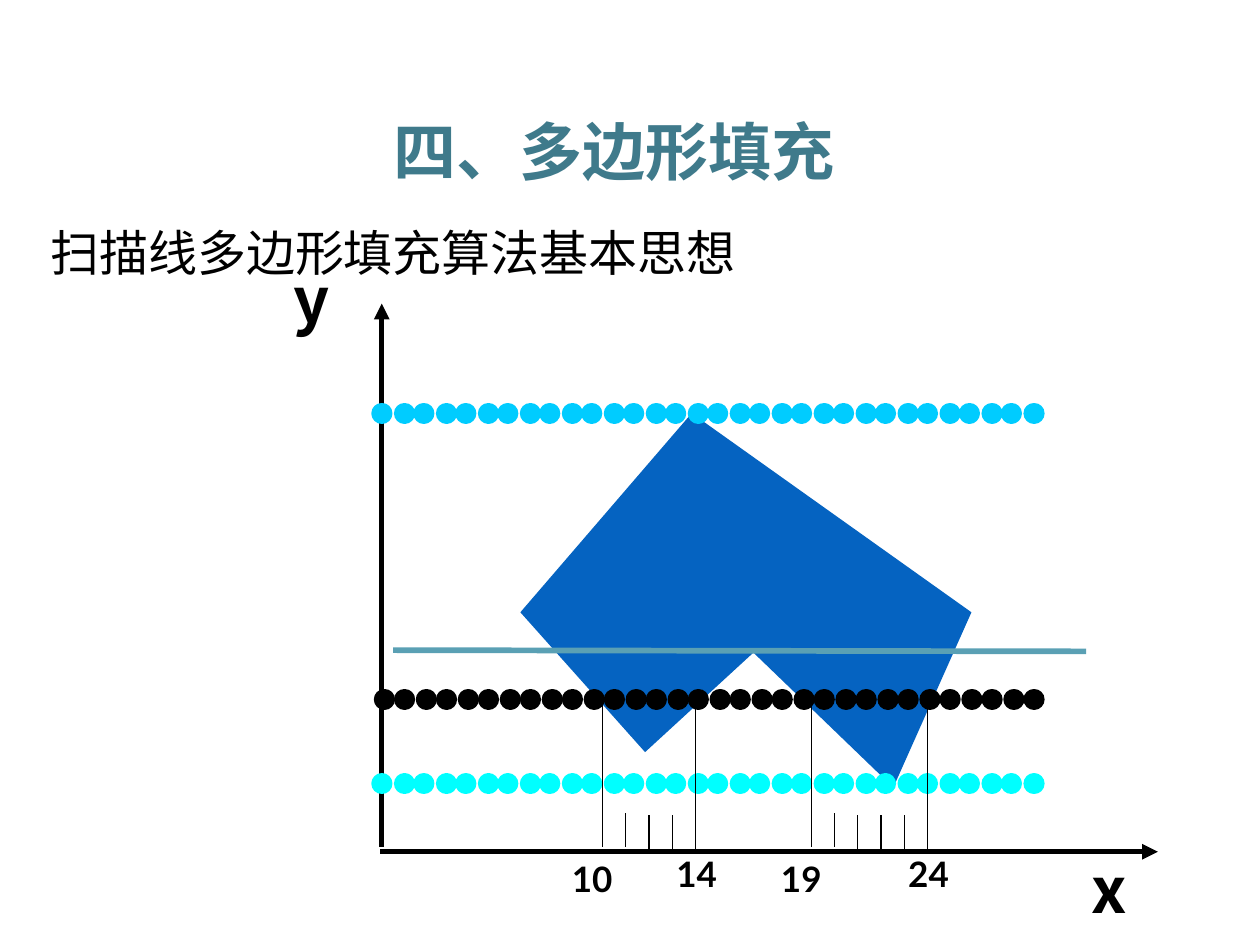
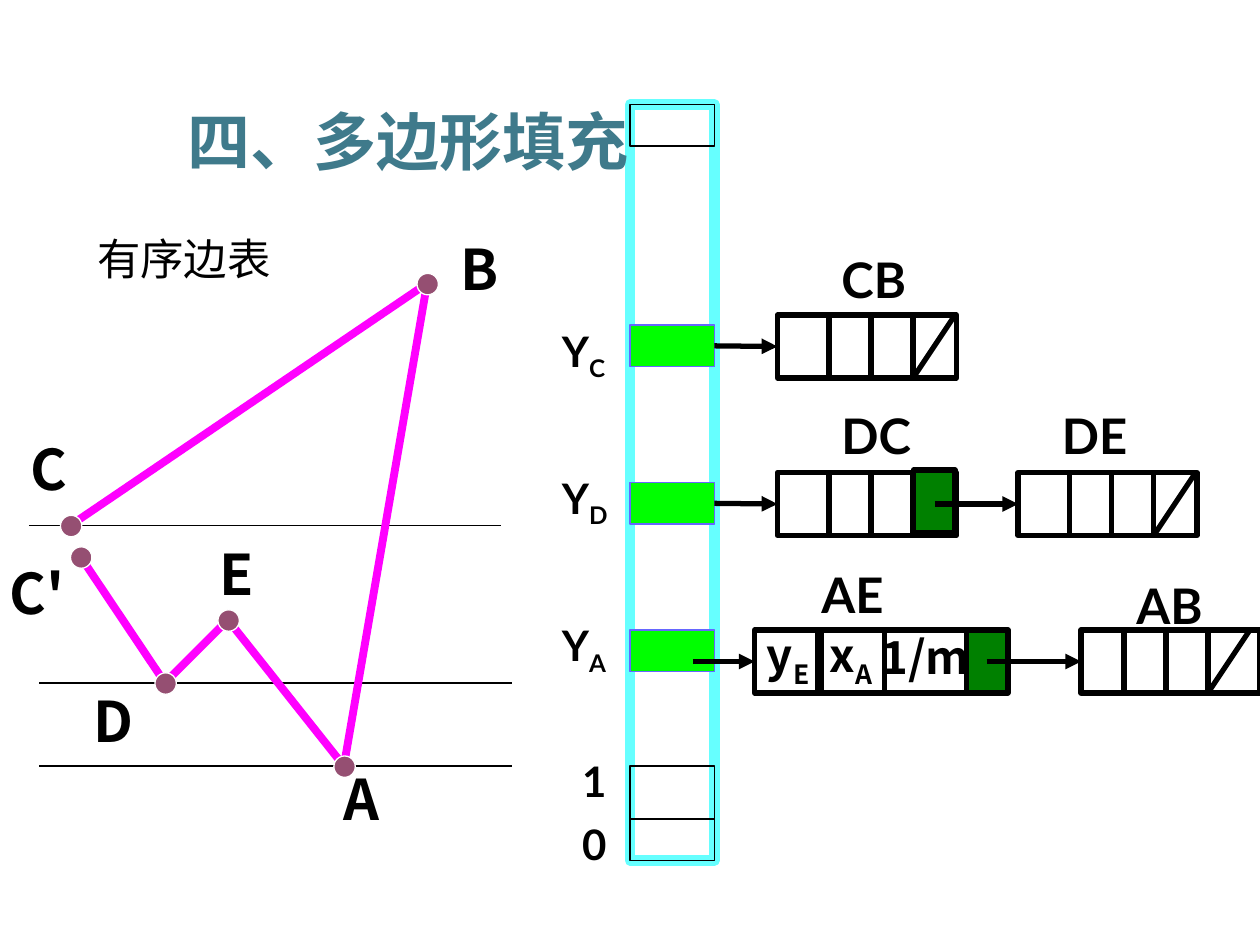
from dataclasses import dataclass

from lxml import etree
from pptx import Presentation
from pptx.dml.color import RGBColor
from pptx.enum.dml import MSO_LINE
from pptx.enum.shapes import MSO_CONNECTOR, MSO_SHAPE
from pptx.enum.text import MSO_ANCHOR, MSO_AUTO_SIZE, PP_ALIGN
from pptx.oxml.ns import qn
from pptx.util import Inches, Pt

RECTANGLE = MSO_SHAPE.RECTANGLE
OVAL = MSO_SHAPE.OVAL
STRAIGHT = MSO_CONNECTOR.STRAIGHT
DOTTED = MSO_LINE.ROUND_DOT
TOP, MIDDLE = MSO_ANCHOR.TOP, MSO_ANCHOR.MIDDLE
LEFT, CENTER = PP_ALIGN.LEFT, PP_ALIGN.CENTER
FIXED_SIZE = MSO_AUTO_SIZE.NONE
LEFT_SIDE, RIGHT_SIDE = 1, 3
TITLE_ONLY = 5


@dataclass(frozen=True)
class Theme:
    """Colours, fonts, type sizes and line widths."""
    black: str = "000000"
    white: str = "FFFFFF"
    heading: str = "3F7A8B"
    scan_line: str = "5AA0B4"
    polygon: str = "0563C1"
    top_dots: str = "00CCFF"
    bottom_dots: str = "00FFFF"
    edge: str = "FF00FF"
    vertex: str = "954F72"
    table: str = "66FFFF"
    bucket: str = "00FF00"
    bucket_line: str = "6666FF"
    link: str = "008000"
    han: str = "Noto Sans CJK SC"
    latin: str = "Lato"
    topic_font: str = "Arial"
    heading_size: float = 36
    topic_size: float = 28
    small_topic_size: float = 24.8
    vertex_size: float = 32
    record_size: float = 28
    cell_size: float = 26
    bucket_size: float = 24
    tick_size: float = 20
    thin: float = 0.75
    thick: float = 3


class Deck:
    """Draws styled elements on the current slide."""

    def __init__(self, theme):
        self.theme = theme
        self.presentation = Presentation()
        self.presentation.slide_width = Inches(10)
        self.presentation.slide_height = Inches(7.5)
        self.slide = None

    def new_slide(self, topic, box, size):
        """Start a slide with its topic in the title placeholder."""
        layout = self.presentation.slide_layouts[TITLE_ONLY]
        self.slide = self.presentation.slides.add_slide(layout)
        title = self.slide.shapes.title
        title.left, title.top, title.width, title.height = map(Inches, box)
        self.add_text(title, topic, size, self.theme.topic_font, bold=False,
                      anchor=MIDDLE, spacing=1.2)

    def heading(self, text, box):
        """Add the chapter heading."""
        self.label(text, box, self.theme.heading_size, self.theme.han,
                   color=self.theme.heading, align=CENTER, anchor=MIDDLE)

    def add_text(self, shape, text, size, font, subscript="", color=None, bold=True,
                 align=LEFT, anchor=TOP, spacing=None, wrap=True, insets=None):
        """Fill a shape with one paragraph and an optional subscript."""
        frame = shape.text_frame
        frame.auto_size = FIXED_SIZE
        frame.word_wrap = wrap
        frame.vertical_anchor = anchor
        if insets:
            frame.margin_left = frame.margin_right = Inches(insets[0])
            frame.margin_top = frame.margin_bottom = Inches(insets[1])
        paragraph = frame.paragraphs[0]
        paragraph.alignment = align
        if spacing:
            paragraph.line_spacing = spacing
        for part, baseline in ((text, None), (subscript, "-25000")):
            if not part:
                continue
            run = paragraph.add_run()
            run.text = part
            run.font.size = Pt(size)
            run.font.bold = bold
            run.font.color.rgb = RGBColor.from_string(color or self.theme.black)
            run.font.name = font
            properties = run._r.get_or_add_rPr()
            etree.SubElement(properties, qn("a:ea"), typeface=self.theme.han)
            if baseline:
                properties.set("baseline", baseline)

    def label(self, text, box, size, font, **options):
        """Add a text box."""
        shape = self.slide.shapes.add_textbox(*map(Inches, box))
        self.add_text(shape, text, size, font, **options)

    def paint(self, shape, fill=None, line=None, width=None):
        """Set the fill and outline of a shape."""
        shape.shadow.inherit = False
        if fill:
            shape.fill.solid()
            shape.fill.fore_color.rgb = RGBColor.from_string(fill)
        else:
            shape.fill.background()
        if line:
            shape.line.color.rgb = RGBColor.from_string(line)
            shape.line.width = Pt(width)
        else:
            shape.line.fill.background()

    def shape(self, box, kind=RECTANGLE, **paint):
        """Add a preset shape."""
        shape = self.slide.shapes.add_shape(kind, *map(Inches, box))
        self.paint(shape, **paint)
        return shape

    def outline(self, points, close, **paint):
        """Add a freeform through the points."""
        points = [(Inches(x), Inches(y)) for x, y in points]
        builder = self.slide.shapes.build_freeform(*points[0])
        builder.add_line_segments(points[1:], close=close)
        self.paint(builder.convert_to_shape(), **paint)

    def line(self, start, end, width, color=None, arrow=False, dotted=False,
             source=None, target=None):
        """Add a straight line, optionally an arrow joined to boxes."""
        connector = self.slide.shapes.add_connector(
            STRAIGHT, *map(Inches, (*start, *end)))
        if source:
            connector.begin_connect(source, RIGHT_SIDE)
        if target:
            connector.end_connect(target, LEFT_SIDE)
        connector.line.color.rgb = RGBColor.from_string(color or self.theme.black)
        connector.line.width = Pt(width)
        outline = connector.line._get_or_add_ln()
        if dotted:
            connector.line.dash_style = DOTTED
            outline.set("cap", "rnd")
        if arrow:
            etree.SubElement(outline, qn("a:tailEnd"), type="triangle")
        etree.SubElement(connector._element.spPr, qn("a:effectLst"))

    def arrow(self, start, end, **joins):
        """Add a thick black arrow."""
        self.line(start, end, self.theme.thick, arrow=True, **joins)

    def record(self, left, top, first=0.41, null=True):
        """Add an edge record with three dividers and an optional null slash."""
        thick = self.theme.thick
        box = self.shape((left, top, 1.42, 0.5), line=self.theme.black, width=thick)
        step = 1 / 3
        dividers = [left + first + step * index for index in range(3)]
        for x in dividers:
            self.line((x, top), (x, top + 0.5), thick)
        if null:
            x = dividers[-1]
            self.line((x, top + 0.5), (x + step, top), thick)
        return box

    def link_cell(self, left, top):
        """Add the filled pointer cell of a record."""
        self.shape((left, top, 0.33, 0.5), fill=self.theme.link,
                   line=self.theme.black, width=self.theme.thick)


def scan_line_slide(deck):
    """Show the basic idea of scan-line filling."""
    theme = deck.theme
    deck.new_slide("扫描线多边形填充算法基本思想", (0.3, 1.62, 8.72, 0.66), theme.topic_size)
    deck.arrow((3.03, 6.72), (3.03, 2.41))
    deck.arrow((3.02, 6.76), (9.19, 6.76))
    for name, left, top in (("x", 8.58, 6.75), ("y", 2.25, 2.07)):
        deck.label(name, (left, top, 0.45, 0.6), theme.heading_size, theme.han,
                   align=CENTER, anchor=MIDDLE, insets=(0, 0))

    polygon = [(4.13, 4.86), (5.49, 3.28), (7.71, 4.86),
               (7.09, 6.25), (5.98, 5.18), (5.12, 5.97)]
    deck.outline(polygon, True, fill=theme.polygon)
    for y, start, color in ((5.55, 3.05, theme.black), (3.28, 3.03, theme.top_dots),
                            (6.22, 3.03, theme.bottom_dots)):
        for left in (3.21, start):
            deck.line((left, y), (left + 5.06, y), 12, color, dotted=True)

    for first, last, left_x, right_x in ((10, 14, 4.78, 5.52), (19, 24, 6.44, 7.36)):
        count = last - first
        for index in range(count + 1):
            x = left_x + (right_x - left_x) * index / count
            bottom = 6.72 if index < 2 else 6.74
            top = 5.55 if index in (0, count) else bottom - 0.27
            deck.line((x, bottom), (x, top), theme.thin)
        for value, left, top in ((first, left_x - 0.34, 6.76), (last, right_x - 0.25, 6.72)):
            deck.label(str(value), (left, top, 0.56, 0.43), theme.tick_size,
                       theme.latin, wrap=False)

    deck.heading("四、多边形填充", (0.2, 0.84, 9.34, 0.71))
    deck.line((3.12, 5.16), (8.62, 5.17), 3.25, theme.scan_line)


def draw_polygon(deck):
    """Draw the polygon with its split vertex and scan lines."""
    theme = deck.theme
    vertices = {
        "C": ((0.56, 4.17), (0.14, 3.4)),
        "B": ((3.39, 2.25), (3.56, 1.81)),
        "A": ((2.73, 6.08), (2.63, 6.02)),
        "E": ((1.81, 4.92), (1.64, 4.23)),
        "D": ((1.31, 5.42), (0.64, 5.4)),
        "C'": ((0.64, 4.42), (-0.02, 4.38)),
    }
    for left, y in ((0.23, 4.17), (0.31, 5.42), (0.31, 6.08)):
        deck.line((left, y), (left + 3.75, y), theme.thin)
    for name, (_, corner) in vertices.items():
        width = 0.42 if len(name) == 1 else 0.65
        deck.label(name, (*corner, width, 0.63), theme.vertex_size, theme.han, wrap=False)
    deck.outline([point for point, _ in vertices.values()], False,
                 line=theme.edge, width=4.5)
    for (x, y), _ in vertices.values():
        deck.shape((x - 0.08, y - 0.08, 0.17, 0.17), OVAL, fill=theme.vertex,
                   line=theme.white, width=theme.thin)


def draw_edge_table(deck):
    """Draw the bucket column and its linked edge records."""
    theme = deck.theme
    deck.shape((5, 0.83, 0.67, 6), line=theme.table, width=6)
    for top, height in ((0.83, 0.33), (6.08, 0.42), (6.5, 0.33)):
        deck.shape((5, top, 0.67, height), line=theme.black, width=theme.thin)
    buckets = {}
    for name, top in (("A", 5), ("D", 3.83), ("C", 2.58)):
        buckets[name] = deck.shape((5, top, 0.67, 0.33), fill=theme.bucket,
                                   line=theme.bucket_line, width=theme.thin)
    for text, subscript, left, top in (("0", "", 4.58, 6.5), ("1", "", 4.58, 6),
                                       ("Y", "A", 4.42, 4.92), ("Y", "D", 4.42, 3.75),
                                       ("Y", "C", 4.42, 2.58)):
        width = 0.58 if subscript else 0.25
        deck.label(text, (left, top, width, 0.4), theme.bucket_size, theme.latin,
                   subscript=subscript, insets=(0.04, 0))

    record_ab = deck.record(8.58, 5, first=0.34)
    record_dc = deck.record(6.17, 3.75, null=False)
    record_de = deck.record(8.08, 3.75)
    record_cb = deck.record(6.17, 2.5)
    for bucket, record, y in (("D", record_dc, 4), ("C", record_cb, 2.75)):
        deck.arrow((5.67, y), (6.17, y), source=buckets[bucket], target=record)

    for name, left, top in (("AE", 6.42, 4.43), ("AB", 8.92, 4.52), ("DC", 6.58, 3.17),
                            ("DE", 8.33, 3.17), ("CB", 6.58, 1.93)):
        deck.label(name, (left, top, 0.75, 0.57), theme.record_size, theme.latin, wrap=False)

    cells = []
    for text, subscript, left, width, spacing in (("y", "E", 5.99, 0.53, 0.6),
                                                  ("x", "A", 6.49, 0.53, 0.6),
                                                  ("1/m", "", 7.02, 0.65, 0.8)):
        cell = deck.shape((left, 5, width, 0.5), line=theme.black, width=theme.thick)
        deck.add_text(cell, text, theme.cell_size, theme.han, subscript=subscript,
                      align=CENTER, anchor=MIDDLE, spacing=spacing, wrap=False)
        cells.append(cell)
    deck.arrow((5.5, 5.25), (5.99, 5.25), target=cells[0])
    deck.link_cell(7.67, 5)
    deck.arrow((7.83, 5.25), (8.58, 5.25), target=record_ab)
    deck.link_cell(7.25, 3.73)
    deck.arrow((7.42, 4), (8.08, 4), target=record_de)


def edge_table_slide(deck):
    """Show a polygon beside its sorted edge table."""
    deck.new_slide("有序边表", (0.67, 1.52, 2.81, 0.98), deck.theme.small_topic_size)
    draw_polygon(deck)
    draw_edge_table(deck)
    deck.heading("四、多边形填充", (-0.77, 0.76, 8.02, 0.71))


def main():
    """Build and save the presentation."""
    deck = Deck(Theme())
    scan_line_slide(deck)
    edge_table_slide(deck)
    deck.presentation.save("out.pptx")


if __name__ == "__main__":
    main()
